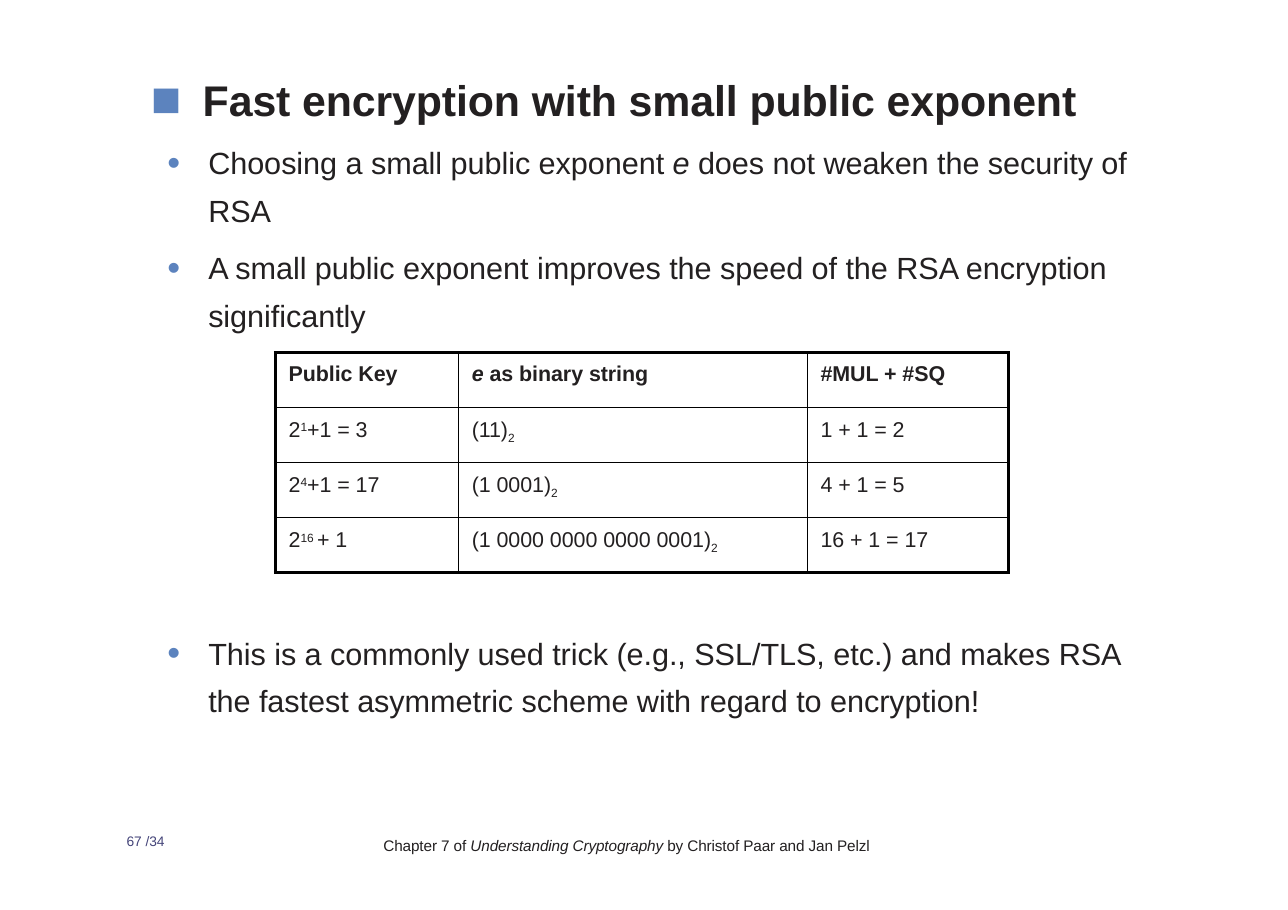
from lxml import etree
from pptx import Presentation
from pptx.dml.color import RGBColor
from pptx.enum.text import MSO_ANCHOR, MSO_AUTO_SIZE, PP_ALIGN
from pptx.oxml.ns import qn
from pptx.util import Inches, Pt

INK = RGBColor(0x23, 0x20, 0x21)
BLUE = RGBColor(0x5C, 0x83, 0xBE)
PLUM = RGBColor(0x44, 0x44, 0x79)
BLACK = RGBColor(0, 0, 0)
TOP, FIXED, LEFT = MSO_ANCHOR.TOP, MSO_AUTO_SIZE.NONE, PP_ALIGN.LEFT

WIDE, HIGH = 11.69, 8.26
FONT = "Arial"
THICK, THIN = 2.25, 1
TITLE = {"size": Pt(28), "bold": True}
BODY = {"size": Pt(20), "bold": False}
CELL = {"size": Pt(14), "bold": False}
HEAD = {"size": Pt(14), "bold": True}
NOTE = {"size": Pt(10)}
PAGE = {"size": Pt(9)}
SHIFT = {"sup": "25000", "sub": "-25000"}

# Each text is a list of (words, style) pairs
POINTS = [
    [("Choosing a small public exponent ", ""), ("e", "i"),
     (" does not weaken the security of RSA", "")],
    [("A small public exponent improves the speed of the RSA encryption "
      "significantly", "")],
]
CLOSING = [
    [("This is a commonly used trick (e.g., SSL/TLS, etc.) and makes RSA "
      "the fastest asymmetric scheme with regard to encryption!", "")],
]
ROWS = [
    [[("Public Key", "")], [("e", "i"), (" as binary string", "")],
     [("#MUL + #SQ", "")]],
    [[("2", ""), ("1", "sup"), ("+1 = 3", "")],
     [("(11)", ""), ("2", "sub")], [("1 + 1 = 2", "")]],
    [[("2", ""), ("4", "sup"), ("+1 = 17", "")],
     [("(1 0001)", ""), ("2", "sub")], [("4 + 1 = 5", "")]],
    [[("2", ""), ("16 ", "sup"), ("+ 1", "")],
     [("(1 0000 0000 0000 0001)", ""), ("2", "sub")], [("16 + 1 = 17", "")]],
]
SOURCE = [("Chapter 7 of ", ""), ("Understanding Cryptography", "i"),
          (" by Christof Paar and Jan Pelzl", "")]


def apply(target, values):
    for name, value in values.items():
        setattr(target, name, value)


def write(para, parts, style, color=INK):
    """Fill a paragraph with styled runs."""
    para.alignment = LEFT
    for words, kind in parts:
        run = para.add_run()
        run.text = words
        apply(run.font, {"name": FONT, "italic": kind == "i", **style})
        run.font.color.rgb = color
        props = run.font._element
        props.set("spc", "-5")
        if kind in SHIFT:
            run.font.size = Pt(13.5)
            props.set("baseline", SHIFT[kind])


def bullet(para, mark, scale, left, hang):
    """Give a paragraph a blue bullet and a hanging indent."""
    props = para._p.get_or_add_pPr()
    props.set("marL", str(Inches(left)))
    props.set("indent", str(-Inches(hang)))
    tint = etree.SubElement(props, qn("a:buClr"))
    etree.SubElement(tint, qn("a:srgbClr"), val=str(BLUE))
    etree.SubElement(props, qn("a:buSzPct"), val=str(scale * 1000))
    etree.SubElement(props, qn("a:buFont"), typeface=FONT)
    etree.SubElement(props, qn("a:buChar"), char=mark)


def place(shape, box):
    """Move a text shape into a box and clear its margins."""
    names = ("left", "top", "width", "height")
    apply(shape, dict(zip(names, map(Inches, box))))
    frame = shape.text_frame
    apply(frame, {"margin_left": 0, "margin_top": 0, "margin_right": 0,
                  "margin_bottom": 0, "word_wrap": True,
                  "auto_size": FIXED, "vertical_anchor": TOP})
    return frame


def heading(shape, box):
    para = place(shape, box).paragraphs[0]
    bullet(para, "■", 118, 0.49, 0.47)
    apply(para, {"space_before": Pt(0), "line_spacing": 1.0})
    write(para, [("Fast encryption with small public exponent", "")], TITLE)


def points(shape, box, items):
    frame = place(shape, box)
    for index, parts in enumerate(items):
        para = frame.add_paragraph() if index else frame.paragraphs[0]
        bullet(para, "•", 120, 0.39, 0.37)
        apply(para, {"space_before": Pt(6.2 if index else 0),
                     "line_spacing": 1.3})
        write(para, parts, BODY)


def border(cell, row, col, last_row, last_col):
    """Draw thick lines on the outer edge and thin ones inside."""
    props = cell._tc.get_or_add_tcPr()
    edges = {"L": col == 0, "R": col == last_col,
             "T": row == 0, "B": row == last_row}
    for side, outer in edges.items():
        line = etree.SubElement(props, qn("a:ln" + side),
                                w=str(Pt(THICK if outer else THIN)))
        fill = etree.SubElement(line, qn("a:solidFill"))
        etree.SubElement(fill, qn("a:srgbClr"), val=str(BLACK))


def keys(slide, box):
    """Table of public keys and their cost."""
    count, width = len(ROWS), len(ROWS[0])
    table = slide.shapes.add_table(count, width, *map(Inches, box)).table
    apply(table, {"first_row": False, "horz_banding": False})
    for column, share in zip(table.columns, (0.25, 0.476, 0.274)):
        column.width = Inches(box[2] * share)
    for r, row in enumerate(ROWS):
        for c, parts in enumerate(row):
            cell = table.cell(r, c)
            border(cell, r, c, count - 1, width - 1)
            cell.fill.background()
            apply(cell, {"margin_left": Inches(0.12), "margin_right": 0,
                         "margin_top": Inches(0.09), "margin_bottom": 0})
            write(cell.text_frame.paragraphs[0], parts, CELL if r else HEAD)


def label(slide, box, parts, style, color):
    shape = slide.shapes.add_textbox(0, 0, 0, 0)
    write(place(shape, box).paragraphs[0], parts, style, color)


def main():
    deck = Presentation()
    apply(deck, {"slide_width": Inches(WIDE), "slide_height": Inches(HIGH)})
    slide = deck.slides.add_slide(deck.slide_layouts[3])
    title, upper, lower = slide.placeholders

    # Title and bullets
    heading(title, (1.35, 0.67, 8.91, 0.5))
    points(upper, (1.5, 1.21, 8.76, 1.86), POINTS)
    points(lower, (1.5, 5.66, 8.71, 0.86), CLOSING)

    # Table
    keys(slide, (2.5, 3.2, 6.65, 2))

    # Footer
    label(slide, (1.15, 7.56, 0.4, 0.17), [("67 /34", "")], PAGE, PLUM)
    label(slide, (3.48, 7.59, 4.48, 0.18), SOURCE, NOTE, INK)

    deck.save("out.pptx")


if __name__ == "__main__":
    main()
